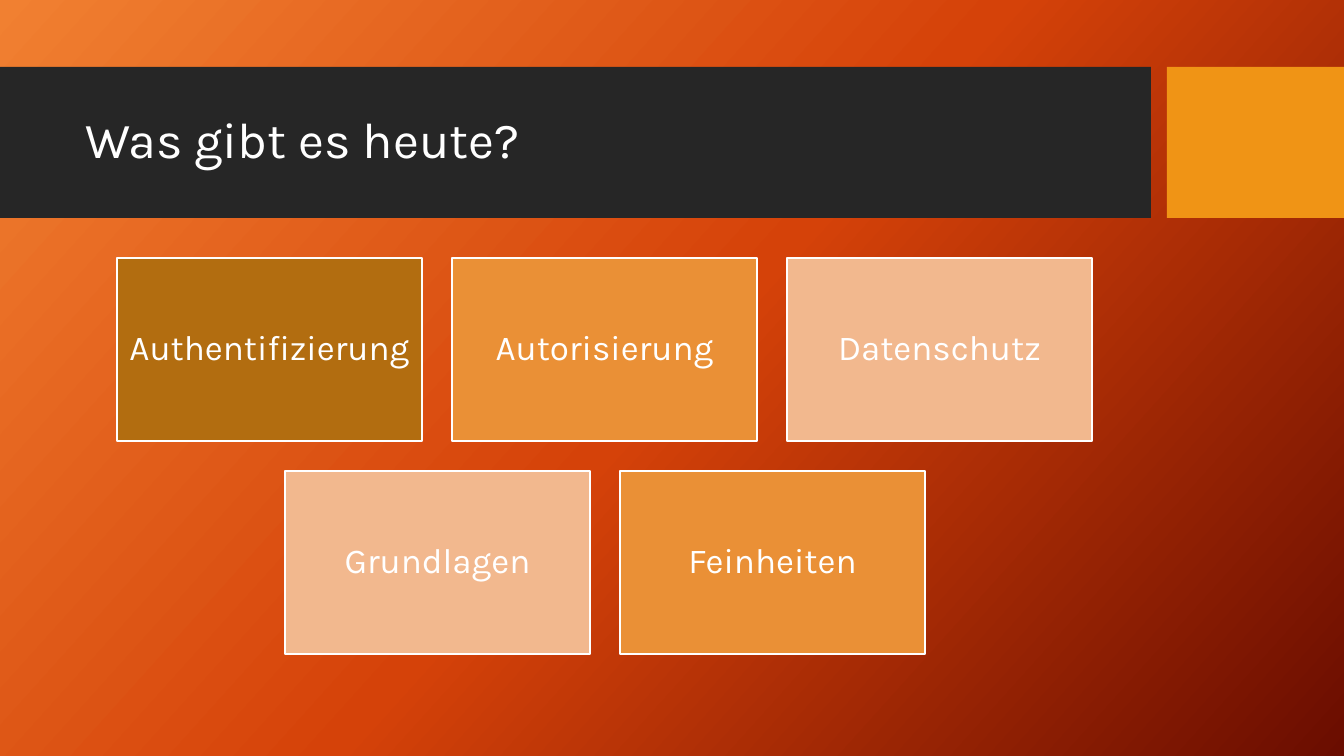
import copy

import pptx
import pptx.dml.color
import pptx.enum.shapes
import pptx.enum.text
import pptx.oxml.ns
import pptx.util

WIDTH, HEIGHT = 1344, 756
SCALE = 12192000 / WIDTH
ALIGN = pptx.enum.text.PP_ALIGN

BACK = [(0, "F18031"), (0.5, "D54209"), (1, "6A0D00")]
ROWS = [
    [("Authentifizierung", "B26D10"), ("Autorisierung", "EA9036"),
     ("Datenschutz", "F2B88E")],
    [("Grundlagen", "F2B88E"), ("Feinheiten", "EA9036")],
]
LEFT, TOP = 117, 258
CARD_W, CARD_H = 305, 183
STEP_X, STEP_Y = 335, 213


def px(count):
    return pptx.util.Emu(round(count * SCALE))


def color(code):
    return pptx.dml.color.RGBColor.from_string(code)


def write(shape, text, size=25, ink="FFFFFF", font="Karla",
          align=ALIGN.CENTER, inset=10):
    frame = shape.text_frame
    frame.word_wrap = True
    frame.auto_size = pptx.enum.text.MSO_AUTO_SIZE.NONE
    frame.vertical_anchor = pptx.enum.text.MSO_ANCHOR.MIDDLE
    frame.margin_left = frame.margin_right = px(inset)
    frame.margin_top = frame.margin_bottom = px(inset)
    para = frame.paragraphs[0]
    para.alignment = align
    para.line_spacing = 0.9
    run = para.add_run()
    run.text = text
    run.font.size = pptx.util.Pt(size)
    run.font.name = font
    run.font.color.rgb = color(ink)


class Deck:
    """Holds the line style and the current slide."""

    def __init__(self, edge="FFFFFF", weight=1.5):
        self.edge, self.weight = edge, weight
        self.show = pptx.Presentation()
        self.show.slide_width = px(WIDTH)
        self.show.slide_height = px(HEIGHT)
        self.slide = self.show.slides.add_slide(self.show.slide_layouts[5])

    def back(self, stops, angle):
        """Fill the background; the angle runs clockwise."""
        fill = self.slide.background.fill
        fill.gradient()
        fill.gradient_angle = 360 - angle
        group = self.slide.element.find(".//" + pptx.oxml.ns.qn("a:gsLst"))
        while len(group) < len(stops):
            group.append(copy.deepcopy(group[-1]))
        for stop, (place, code) in zip(fill.gradient_stops, stops):
            stop.position = place
            stop.color.rgb = color(code)

    def box(self, x, y, w, h, fill):
        shape = self.slide.shapes.add_shape(
            pptx.enum.shapes.MSO_SHAPE.RECTANGLE, px(x), px(y), px(w), px(h))
        shape.shadow.inherit = False
        shape.fill.solid()
        shape.fill.fore_color.rgb = color(fill)
        shape.line.fill.background()
        return shape

    def card(self, x, y, w, h, fill, text):
        shape = self.box(x, y, w, h, fill)
        shape.line.color.rgb = color(self.edge)
        shape.line.width = pptx.util.Pt(self.weight)
        write(shape, text)

    def title(self, x, y, w, h, text):
        """Place the title in front of all that is drawn so far."""
        shape = self.slide.shapes.title
        shape.left, shape.top = px(x), px(y)
        shape.width, shape.height = px(w), px(h)
        write(shape, text, size=36, align=ALIGN.LEFT)
        shape.element.getparent().append(shape.element)


def main():
    deck = Deck()
    deck.back(BACK, 42)
    deck.box(0, 67, 1151, 151, "262626")
    deck.box(1167, 67, 177, 151, "F09415")
    deck.title(75, 83, 1059, 119, "Was gibt es heute?")
    for i, row in enumerate(ROWS):
        shift = (len(ROWS[0]) - len(row)) * STEP_X / 2
        for j, (text, fill) in enumerate(row):
            deck.card(LEFT + round(shift) + j * STEP_X, TOP + i * STEP_Y,
                      CARD_W, CARD_H, fill, text)
    deck.show.save("out.pptx")


if __name__ == "__main__":
    main()
